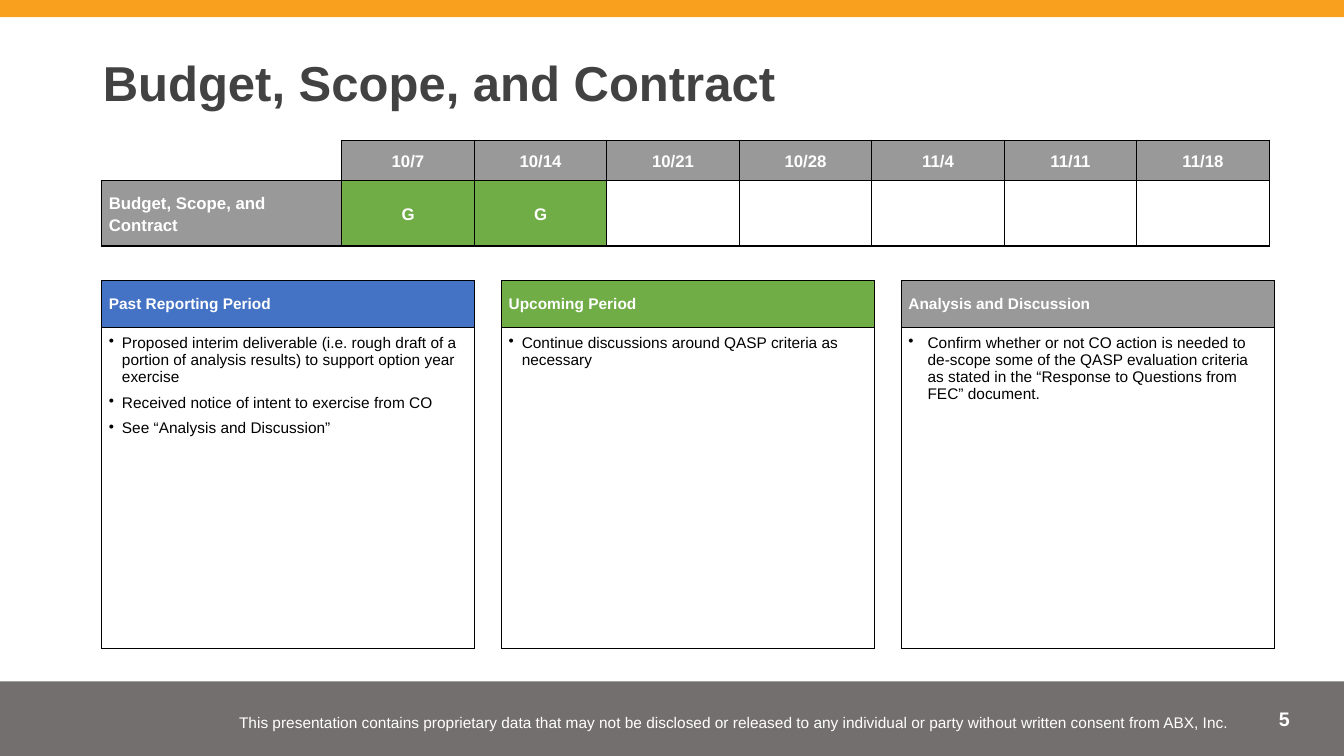
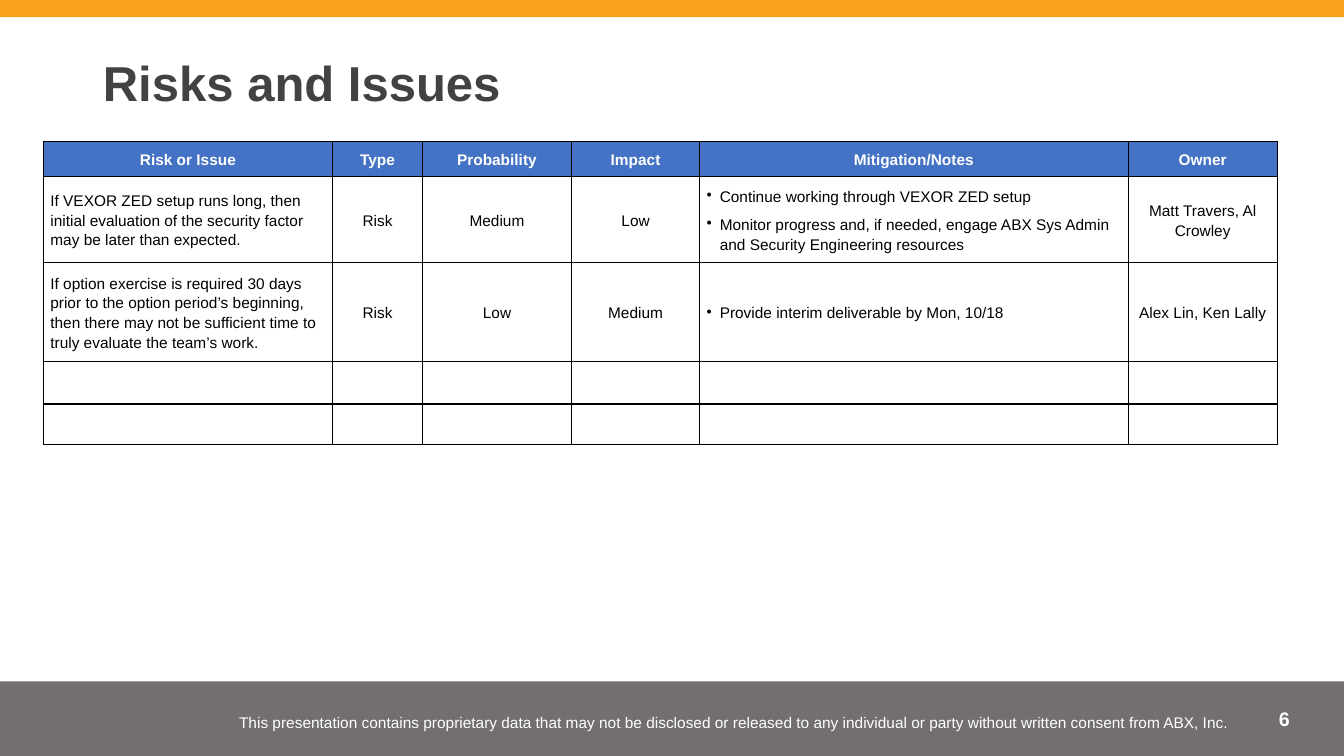
from lxml.etree import SubElement
from pptx import Presentation
from pptx.dml.color import RGBColor
from pptx.enum.shapes import MSO_SHAPE as Shape
from pptx.enum.text import MSO_ANCHOR as Anchor, MSO_AUTO_SIZE as Fit, PP_ALIGN as Align
from pptx.oxml.ns import qn
from pptx.util import Inches, Pt

HEX = {
    "orange": "F9A01E", "band": "4F4949", "title": "424242", "gray": "999999",
    "blue": "4472C4", "green": "70AD47", "white": "FFFFFF", "black": "000000",
}
WIDE, HIGH = 13.33, 7.5
FIRST = 5
NOTICE = ("This presentation contains proprietary data that may not be disclosed or "
          "released to any individual or party without written consent from ABX, Inc.")

SCOPE = "Budget, Scope, and Contract"
DATES = ["10/7", "10/14", "10/21", "10/28", "11/4", "11/11", "11/18"]
GRADES = ["G", "G"]
PANELS = [  # heading, fill, bullet indent, bullets
    ("Past Reporting Period", "blue", 0.13, [
        "Proposed interim deliverable (i.e. rough draft of a portion of analysis results) "
        "to support option year exercise",
        "Received notice of intent to exercise from CO",
        "See “Analysis and Discussion”"]),
    ("Upcoming Period", "green", 0.13, [
        "Continue discussions around QASP criteria as necessary"]),
    ("Analysis and Discussion", "gray", 0.19, [
        "Confirm whether or not CO action is needed to de-scope some of the QASP evaluation "
        "criteria as stated in the “Response to Questions from FEC” document."]),
]
HEADS = [("Risk or Issue", 2.87), ("Type", 0.89), ("Probability", 1.48),
         ("Impact", 1.27), ("Mitigation/Notes", 4.25), ("Owner", 1.48)]
RISKS = [
    ("If VEXOR ZED setup runs long, then initial evaluation of the security factor "
     "may be later than expected.", "Risk", "Medium", "Low",
     ["Continue working through VEXOR ZED setup",
      "Monitor progress and, if needed, engage ABX Sys Admin and Security Engineering resources"],
     "Matt Travers, Al Crowley"),
    ("If option exercise is required 30 days prior to the option period’s beginning, then "
     "there may not be sufficient time to truly evaluate the team’s work.",
     "Risk", "Low", "Medium", ["Provide interim deliverable by Mon, 10/18"],
     "Alex Lin, Ken Lally"),
]
RISK_ROWS = [0.34, 0.8, 0.92, 0.42, 0.39]


def rgb(name):
    return RGBColor.from_string(HEX[name])


def write(frame, text, size, color, bold=False, align=Align.LEFT, space=None, indent=0.13):
    """Fill a text frame; a list of texts becomes bullets."""
    bullets = isinstance(text, list)
    for i, line in enumerate(text if bullets else [text]):
        para = frame.add_paragraph() if i else frame.paragraphs[0]
        para.text = line
        para.alignment = align
        if space:
            para.line_spacing = space
        if bullets:
            para.space_after = Pt(6)
            props = para._p.get_or_add_pPr()
            props.set("marL", str(Inches(indent)))
            props.set("indent", str(-Inches(indent)))
            SubElement(props, qn("a:buChar")).set("char", "•")
        font = para.font
        font.name, font.size, font.bold = "Arial", Pt(size), bold
        font.color.rgb = rgb(color)


def inset(frame, side, top):
    frame.margin_left = frame.margin_right = Inches(side)
    frame.margin_top = frame.margin_bottom = Inches(top)


def add_band(slide, top, high, color, alpha=None):
    band = slide.shapes.add_shape(Shape.RECTANGLE, 0, Inches(top), Inches(WIDE), Inches(high))
    band.shadow.inherit = False
    band.line.fill.background()
    band.fill.solid()
    band.fill.fore_color.rgb = rgb(color)
    if alpha:
        tone = band.element.spPr.find(qn("a:solidFill"))[0]
        SubElement(tone, qn("a:alpha")).set("val", str(alpha * 1000))


def add_text(slide, box, text, size, align, top, anchor, **style):
    frame = slide.shapes.add_textbox(*map(Inches, box)).text_frame
    frame.word_wrap = True
    frame.vertical_anchor = anchor
    inset(frame, 0.1, top)
    write(frame, text, size, "white", align=align, **style)


def add_slide(deck, title):
    slide = deck.slides.add_slide(deck.slide_layouts[5])
    add_band(slide, 6.76, 0.74, "band", 79)
    add_band(slide, 0, 0.17, "orange")
    number = str(FIRST + len(deck.slides) - 1)
    add_text(slide, (11.81, 6.96, 1.08, 0.4), number, 14, Align.RIGHT, 0.05,
             Anchor.TOP, bold=True)
    add_text(slide, (2.27, 6.89, 10.03, 0.53), NOTICE, 11, Align.CENTER, 0.1,
             Anchor.MIDDLE, space=1.15)
    head = slide.shapes.title
    head.left, head.top, head.width, head.height = map(Inches, (0.92, 0.46, 11.5, 0.77))
    frame = head.text_frame
    frame.auto_size = Fit.NONE
    frame.word_wrap = True
    frame.vertical_anchor = Anchor.MIDDLE
    inset(frame, 0.1, 0.1)
    write(frame, title, 35, "title", bold=True, space=0.9)
    return slide


def add_grid(slide, left, top, cols, rows):
    """Add a plain table with black borders and no fill."""
    grid = slide.shapes.add_table(len(rows), len(cols), Inches(left), Inches(top),
                                  Inches(sum(cols)), Inches(sum(rows))).table
    grid.first_row = grid.horz_banding = False
    for col, wide in zip(grid.columns, cols):
        col.width = Inches(wide)
    for row, high in zip(grid.rows, rows):
        row.height = Inches(high)
    for cell in grid.iter_cells():
        for side in "LRTB":
            edge(cell, side)
        cell.fill.background()
    return grid


def edge(cell, side):
    line = SubElement(cell._tc.get_or_add_tcPr(), qn("a:ln" + side), w=str(Pt(1)))
    paint = SubElement(line, qn("a:solidFill"))
    SubElement(paint, qn("a:srgbClr"), val=HEX["black"])


def clear(cell, *sides):
    """Hide some borders of a cell."""
    for side in sides:
        line = cell._tc.tcPr.find(qn("a:ln" + side))
        line.remove(line[0])
        SubElement(line, qn("a:noFill"))


def put(cell, text, fill=None, size=11, anchor=Anchor.MIDDLE, **style):
    """Write a cell: bold white on a fill, else plain black."""
    inset(cell, 0.07, 0.07)
    cell.vertical_anchor = anchor
    if fill:
        cell.fill.solid()
        cell.fill.fore_color.rgb = rgb(fill)
    write(cell.text_frame, text, size, "white" if fill else "black", bold=bool(fill), **style)


def add_scope(deck):
    slide = add_slide(deck, SCOPE)
    step = (11.58 - 2.38) / len(DATES)
    grid = add_grid(slide, 1.01, 1.39, [2.38] + [step] * len(DATES), [0.36, 0.65])
    clear(grid.cell(0, 0), "L", "T")
    put(grid.cell(1, 0), SCOPE, "gray", 12, space=1.15)
    for row, (texts, fill) in enumerate([(DATES, "gray"), (GRADES, "green")]):
        for col, text in enumerate(texts, 1):
            put(grid.cell(row, col), text, fill, 12, align=Align.CENTER, space=1.15)
    for i, (head, fill, indent, items) in enumerate(PANELS):
        panel = add_grid(slide, 1.01 + i * 3.965, 2.78, [3.7], [0.47, 3.18])
        put(panel.cell(0, 0), head, fill)
        put(panel.cell(1, 0), items, anchor=Anchor.TOP, indent=indent)


def add_risks(deck):
    slide = add_slide(deck, "Risks and Issues")
    names, cols = zip(*HEADS)
    grid = add_grid(slide, 0.43, 1.4, cols, RISK_ROWS)
    for row, texts in enumerate([names] + RISKS):
        for col, text in enumerate(texts):
            left = row and col in (0, 4)
            put(grid.cell(row, col), text, None if row else "blue",
                align=Align.LEFT if left else Align.CENTER, space=1.15)


def main():
    deck = Presentation()
    deck.slide_width, deck.slide_height = Inches(WIDE), Inches(HIGH)
    add_scope(deck)
    add_risks(deck)
    deck.save("out.pptx")


if __name__ == "__main__":
    main()
